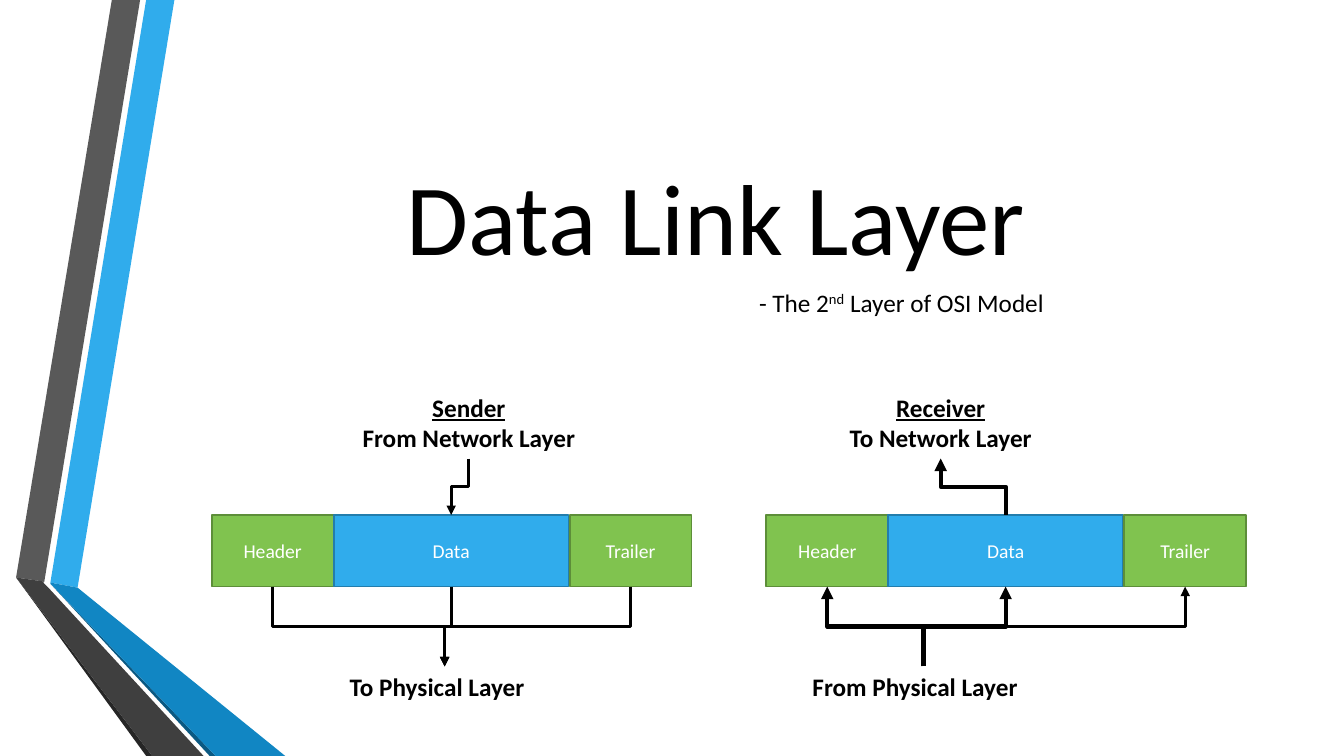
from dataclasses import dataclass

from lxml import etree
from pptx import Presentation
from pptx.dml.color import RGBColor
from pptx.enum.shapes import MSO_CONNECTOR as Connector, MSO_SHAPE as Shape
from pptx.enum.text import MSO_ANCHOR as Anchor, PP_ALIGN as Align
from pptx.oxml.ns import qn
from pptx.util import Inches, Pt


@dataclass(frozen=True)
class Theme:
    font: str = "Calibri"
    title_size: int = 72
    body_size: int = 18
    block_size: int = 14
    text: str = "000000"
    block_text: str = "FFFFFF"
    green: str = "80C34F"
    green_edge: str = "5D8E39"
    blue: str = "30ACEC"
    blue_edge: str = "237DAC"
    blue_dark: str = "1186C3"
    blue_shadow: str = "0B5982"
    gray: str = "595959"
    gray_dark: str = "3F3F3F"
    gray_shadow: str = "262626"
    edge_width: float = 1.25
    thin: float = 2.25
    thick: float = 3


THEME = Theme()

RIBBONS = [
    (THEME.blue, [(0.5, 5.78), (0.77, 5.83), (1.73, 0), (1.45, 0)]),
    (THEME.gray, [(1.39, 0), (1.11, 0), (0.16, 5.73), (0.44, 5.77)]),
    (THEME.gray_shadow, [(0.16, 5.73), (1.45, 7.5), (1.51, 7.5)]),
    (THEME.blue_shadow, [(0.5, 5.79), (2.08, 7.5), (2.14, 7.5)]),
    (THEME.blue_dark, [(0.5, 5.79), (2.14, 7.5), (2.83, 7.5), (0.77, 5.83), (0.5, 5.78)]),
    (THEME.gray_dark, [(2.02, 7.5), (0.48, 5.83), (0.43, 5.78), (0.44, 5.77),
                       (0.16, 5.73), (1.51, 7.5)]),
]

BLOCKS = [
    ("Header", 0, 1.21, THEME.green, THEME.green_edge),
    ("Data", 1.21, 2.33, THEME.blue, THEME.blue_edge),
    ("Trailer", 3.55, 1.21, THEME.green, THEME.green_edge),
]


@dataclass(frozen=True)
class Side:
    name: str
    network: str
    physical: str
    network_port: float
    network_width: float
    physical_port: float
    physical_left: float
    physical_width: float
    sends: bool
    line_widths: tuple
    network_line: float


SENDER = Side("Sender", "From Network Layer", "To Physical Layer", 2.55, 2.45,
              2.31, 1.27, 2.08, True, (THEME.thin,) * 3, THEME.thin)
RECEIVER = Side("Receiver", "To Network Layer", "From Physical Layer", 1.73, 2.14,
                1.56, 0.36, 2.39, False, (THEME.thick, THEME.thick, THEME.thin), THEME.thick)


def color(value):
    return RGBColor.from_string(value)


def style(paragraph, size, value=THEME.text, bold=None, align=None):
    paragraph.alignment = align
    paragraph.font.name = THEME.font
    paragraph.font.size = Pt(size)
    paragraph.font.color.rgb = color(value)
    paragraph.font.bold = bold


def add_text(slide, left, top, width, height, lines, size=THEME.body_size, bold=None,
             align=None, anchor=Anchor.TOP):
    box = slide.shapes.add_textbox(Inches(left), Inches(top), Inches(width), Inches(height))
    frame = box.text_frame
    frame.word_wrap = True
    frame.vertical_anchor = anchor
    frame.text = "\n".join(lines)
    for paragraph in frame.paragraphs:
        style(paragraph, size, bold=bold, align=align)
    return frame


def add_ribbons(slide, left, top):
    for fill, points in RIBBONS:
        corners = [(Inches(left + x), Inches(top + y)) for x, y in points]
        builder = slide.shapes.build_freeform(*corners[0])
        builder.add_line_segments(corners[1:], close=True)
        ribbon = builder.convert_to_shape()
        ribbon.shadow.inherit = False
        ribbon.fill.solid()
        ribbon.fill.fore_color.rgb = color(fill)
        ribbon.line.fill.background()


def add_heading(slide, left, top, width, height):
    add_text(slide, left, top, width, height, ["Data Link Layer"], THEME.title_size,
             align=Align.CENTER, anchor=Anchor.MIDDLE)
    frame = add_text(slide, left + 5.81, top + 2.44, 3.12, 0.4, ["- The 2"])
    paragraph = frame.paragraphs[0]
    ordinal = paragraph.add_run()
    ordinal.text = "nd"
    ordinal.font._element.set("baseline", "30000")
    paragraph.add_run().text = " Layer of OSI Model"


def add_block(slide, left, top, width, height, label, fill, edge):
    block = slide.shapes.add_shape(Shape.RECTANGLE, Inches(left), Inches(top),
                                   Inches(width), Inches(height))
    block.shadow.inherit = False
    block.fill.solid()
    block.fill.fore_color.rgb = color(fill)
    block.line.color.rgb = color(edge)
    block.line.width = Pt(THEME.edge_width)
    block.text_frame.vertical_anchor = Anchor.MIDDLE
    block.text_frame.text = label
    style(block.text_frame.paragraphs[0], THEME.block_size, THEME.block_text, align=Align.CENTER)


def add_elbow_arrow(slide, start, end, width):
    (x1, y1), (x2, y2) = start, end
    center_x, center_y = (x1 + x2) / 2, (y1 + y2) / 2
    half_run = abs(y2 - y1) / 2
    down = y2 > y1
    half_rise = (x1 - x2 if down else x2 - x1) / 2
    arrow = slide.shapes.add_connector(
        Connector.ELBOW,
        Inches(center_x - half_run), Inches(center_y - half_rise),
        Inches(center_x + half_run), Inches(center_y + half_rise))
    arrow.line.color.rgb = color(THEME.text)
    arrow.line.width = Pt(width)
    properties = arrow._element.spPr
    properties.find(qn("a:xfrm")).set("rot", str((90 if down else 270) * 60000))
    etree.SubElement(properties.find(qn("a:ln")), qn("a:tailEnd"), type="triangle")
    etree.SubElement(properties, qn("a:effectLst"))


def add_frame_diagram(slide, left, top, side):
    block_top, block_height = top + 1.27, 0.71
    network_x = left + side.network_port
    frame = add_text(slide, network_x - side.network_width / 2, top, side.network_width, 0.71,
                     [side.name, side.network], bold=True, align=Align.CENTER)
    frame.paragraphs[0].font.underline = True
    add_text(slide, left + side.physical_left, top + 2.77, side.physical_width, 0.4,
             [side.physical], bold=True)

    network_port = (network_x, top + 0.71)
    physical_port = (left + side.physical_port, top + 2.77)
    links = []
    for (label, offset, width, fill, edge), line_width in zip(BLOCKS, side.line_widths):
        add_block(slide, left + offset, block_top, width, block_height, label, fill, edge)
        middle = left + offset + width / 2
        links.append(((middle, block_top + block_height), physical_port, line_width))
        if label == "Data":
            links.append((network_port, (middle, block_top), side.network_line))
    for start, end, line_width in links:
        ends = (start, end) if side.sends else (end, start)
        add_elbow_arrow(slide, *ends, line_width)


def main():
    presentation = Presentation()
    presentation.slide_width = Inches(13.33)
    presentation.slide_height = Inches(7.5)
    slide = presentation.slides.add_slide(presentation.slide_layouts[6])
    add_ribbons(slide, 0, 0)
    add_heading(slide, 1.62, 0.36, 10.96, 3.56)
    for left, side in ((2.1, SENDER), (7.6, RECEIVER)):
        add_frame_diagram(slide, left, 3.84, side)
    presentation.save("out.pptx")


if __name__ == "__main__":
    main()
